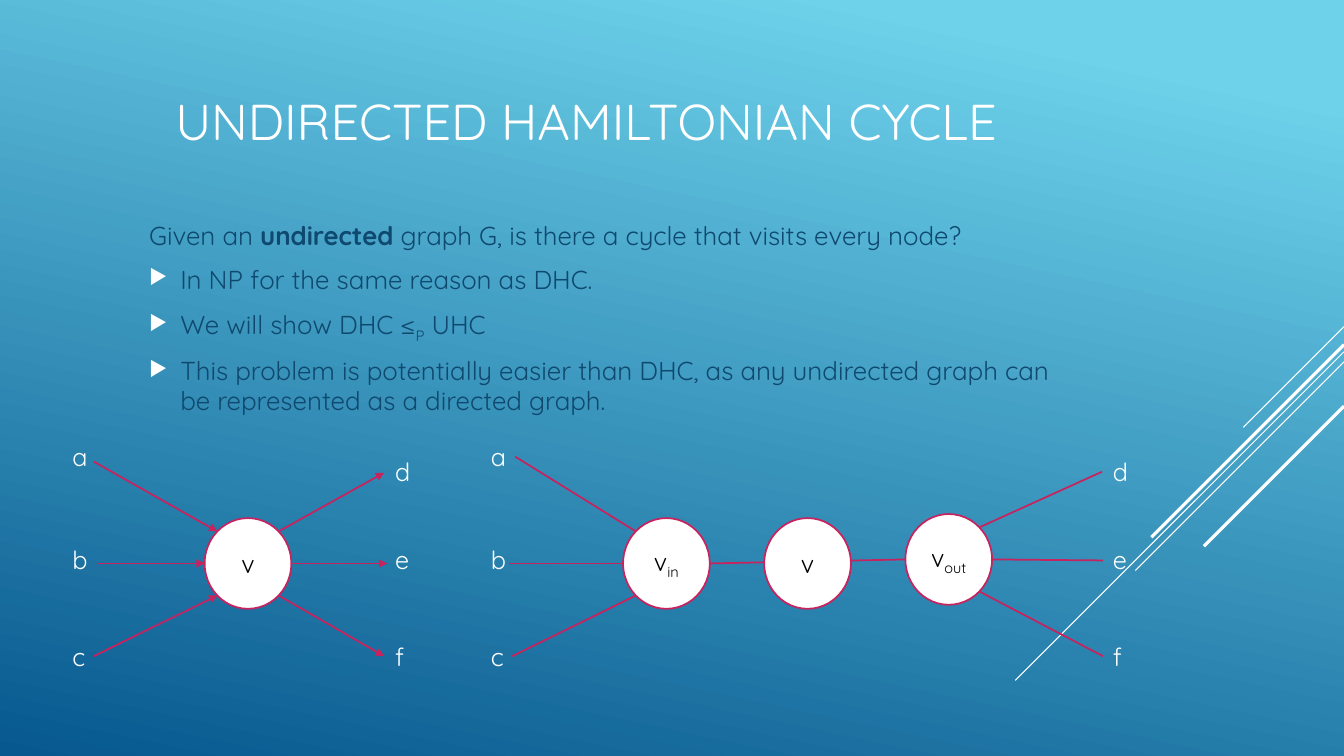
import math
import pptx
import pptx.util
import pptx.dml.color
import pptx.enum.shapes
import pptx.enum.text
import pptx.oxml.ns
from lxml import etree

COLORS = {"sky": "6ED2EB", "deep": "06588E", "white": "FFFFFF",
          "text": "0F496F", "edge": "C6235F", "black": "000000"}
FONT = "Quicksand"
WIDTH, HEIGHT = 13.33, 7.5

TITLE = "UNDIRECTED HAMILTONIAN CYCLE"
QUESTION = [("Given an ", ""), ("undirected", "bold"),
            (" graph G, is there a cycle that visits every node?", "")]
BULLETS = [
    [("In NP for the same reason as DHC.", "")],
    [("We will show DHC ≤", ""), ("P", "sub"), (" UHC", "")],
    [("This problem is potentially easier than DHC, as any undirected graph can "
      "be represented as a directed graph.", "")],
]

STRIPES = [(3.24, 1.0, 0.75), (3.49, 3.26, 0.75), (3.59, 2.07, 0.75),
           (3.42, 1.91, 2.25), (4.03, 1.39, 2.25)]

NODE_W, NODE_H = 0.86, 0.9
MIDDLE = 5.59
NODES = {
    "directed": (2.46, MIDDLE, [("v", "")]),
    "in": (6.61, MIDDLE, [("v", ""), ("in", "sub")]),
    "out": (9.41, 5.55, [("v", ""), ("out", "sub")]),
    "center": (8.01, MIDDLE, [("v", "")]),
}
SLOPES = (-1, 0, 1)
IN_ROWS = (4.33, 5.35, 6.31)
OUT_ROWS = (4.48, 5.35, 6.31)
FANS = [
    ("directed", "in", 0.62, "abc", [(0.93, 4.58), (0.97, MIDDLE), (0.93, 6.51)], True),
    ("directed", "out", 3.82, "def", [(3.81, 4.69), (3.84, MIDDLE), (3.81, 6.51)], True),
    ("in", "in", 4.77, "abc", [(5.11, 4.53), (5.05, MIDDLE), (5.08, 6.51)], False),
    ("out", "out", 10.94, "def", [(10.93, 4.68), (10.94, 5.56), (10.94, 6.51)], False),
]

deck = pptx.Presentation()
deck.slide_width = pptx.util.Inches(WIDTH)
deck.slide_height = pptx.util.Inches(HEIGHT)
page = deck.slides.add_slide(deck.slide_layouts[6])


def color(name):
    return pptx.dml.color.RGBColor.from_string(COLORS[name])


def inches(*lengths):
    return [pptx.util.Inches(length) for length in lengths]


def add_xml(parent, tag, **attributes):
    return etree.SubElement(parent, pptx.oxml.ns.qn(tag), attributes)


def add_spans(para, spans, size, tone):
    for words, style in spans:
        span = para.add_run()
        span.text = words
        span.font.name = FONT
        span.font.size = pptx.util.Pt(size)
        span.font.color.rgb = color(tone)
        if style == "bold":
            span.font.bold = True
        if style == "sub":
            span.font._element.set("baseline", "-25000")


def add_box(left, top, width, height, wrap=True, anchor="MIDDLE"):
    box = page.shapes.add_textbox(*inches(left, top, width, height))
    box.text_frame.word_wrap = wrap
    box.text_frame.vertical_anchor = getattr(pptx.enum.text.MSO_ANCHOR, anchor)
    return box.text_frame


def add_line(start, end, tone, weight, arrow=False):
    line = page.shapes.add_connector(
        pptx.enum.shapes.MSO_CONNECTOR.STRAIGHT, *inches(*start, *end))
    line.line.color.rgb = color(tone)
    line.line.width = pptx.util.Pt(weight)
    if arrow:
        add_xml(line.line._get_or_add_ln(), "a:tailEnd", type="triangle")
    add_xml(line._element.spPr, "a:effectLst")


def add_node(x, y, spans):
    node = page.shapes.add_shape(
        pptx.enum.shapes.MSO_SHAPE.OVAL,
        *inches(x - NODE_W / 2, y - NODE_H / 2, NODE_W, NODE_H))
    node.shadow.inherit = False
    node.fill.solid()
    node.fill.fore_color.rgb = color("white")
    node.line.color.rgb = color("edge")
    node.line.width = pptx.util.Pt(1.25)
    frame = node.text_frame
    frame.margin_left = frame.margin_right = 0
    frame.vertical_anchor = pptx.enum.text.MSO_ANCHOR.MIDDLE
    para = frame.paragraphs[0]
    para.alignment = pptx.enum.text.PP_ALIGN.CENTER
    add_spans(para, spans, 18, "black")


def add_fan(node, side, column, letters, ends, arrow):
    x, y, _ = NODES[node]
    direction = -1 if side == "in" else 1
    rows = IN_ROWS if side == "in" else OUT_ROWS
    for slope, letter, row, end in zip(SLOPES, letters, rows, ends):
        angle = slope * math.pi / 4
        rim = (x + direction * NODE_W / 2 * math.cos(angle),
               y + NODE_H / 2 * math.sin(angle))
        start, finish = (end, rim) if side == "in" else (rim, end)
        add_line(start, finish, "edge", 1.25, arrow)
        frame = add_box(column, row, 0.34, 0.4, wrap=False, anchor="TOP")
        add_spans(frame.paragraphs[0], [(letter, "")], 18, "white")


def add_body():
    frame = add_box(1.38, 2, 9.4, 2.33)
    for index, spans in enumerate([QUESTION] + BULLETS):
        para = frame.add_paragraph() if index else frame.paragraphs[0]
        para.line_spacing = 0.96
        para.space_after = pptx.util.Pt(6)
        if index:
            para.space_before = pptx.util.Pt(4)
            props = para._p.get_or_add_pPr()
            indent = pptx.util.Inches(0.31)
            props.set("marL", str(indent))
            props.set("indent", str(-indent))
            add_xml(add_xml(props, "a:buClr"), "a:srgbClr", val=COLORS["white"])
            add_xml(props, "a:buSzPct", val="80000")
            add_xml(props, "a:buChar", char="▶")
        add_spans(para, spans, 18.5, "text")


def main():
    backdrop = page.background.fill
    backdrop.gradient()
    backdrop.gradient_angle = 360 - 102
    for stop, tone, position in zip(backdrop.gradient_stops, ("sky", "deep"), (0.1, 1)):
        stop.color.rgb = color(tone)
        stop.position = position

    for top, reach, weight in STRIPES:
        add_line((WIDTH, top), (WIDTH - reach, top + reach), "white", weight)

    add_spans(add_box(1.64, 0.37, 9.33, 1.65).paragraphs[0], [(TITLE, "")], 36, "white")
    add_body()

    for fan in FANS:
        add_fan(*fan)
    in_x, in_y, _ = NODES["in"]
    out_x, out_y, _ = NODES["out"]
    add_line((in_x + NODE_W / 2, in_y), (out_x - NODE_W / 2, out_y), "edge", 1.25)
    for node in NODES.values():
        add_node(*node)

    deck.save("out.pptx")


if __name__ == "__main__":
    main()
